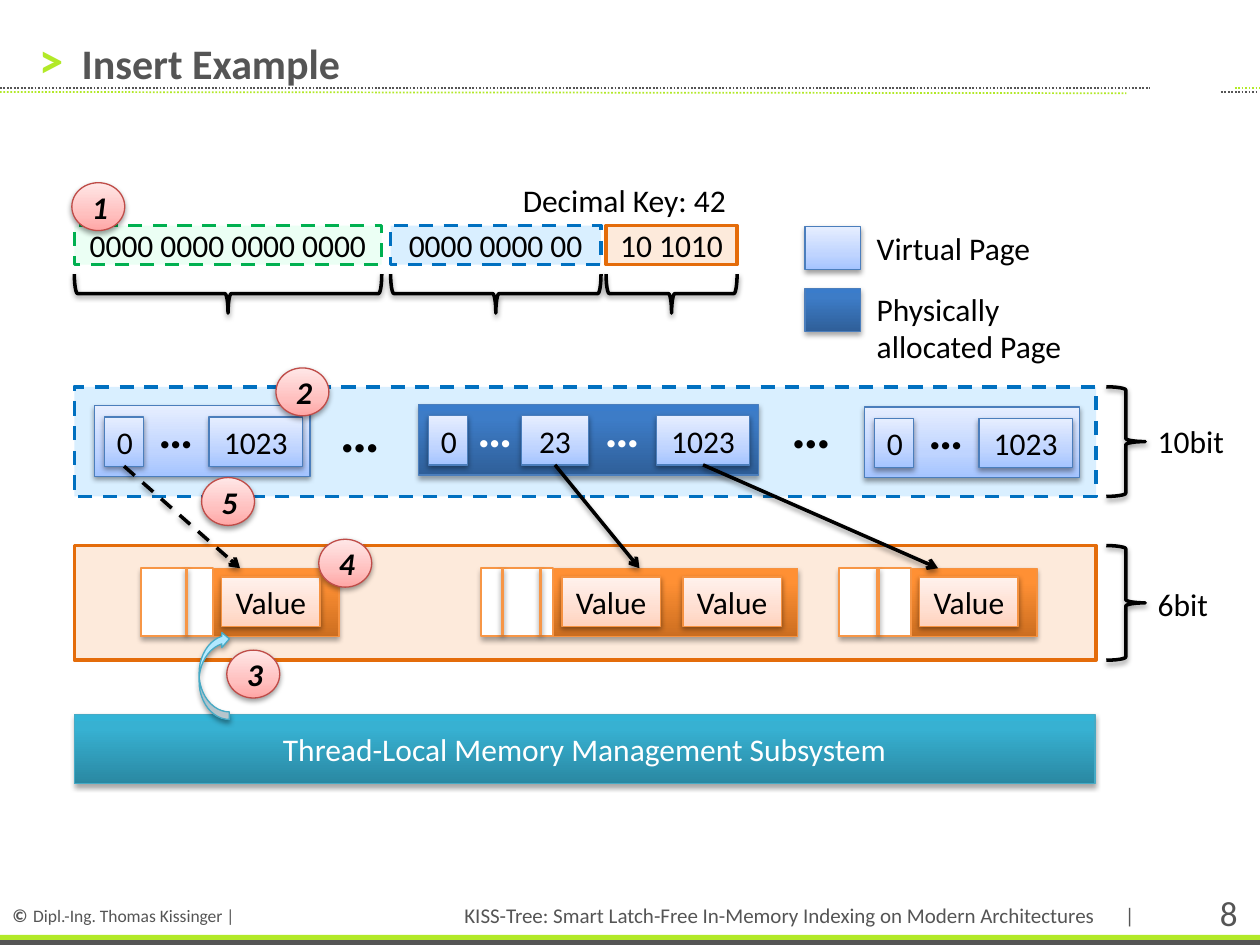
from lxml import etree
from pptx import Presentation, util as u
from pptx.dml.color import RGBColor
from pptx.enum import dml, shapes, text
from pptx.oxml.ns import qn

PX = 9144  # 100 px to the inch
DASH, DOT = dml.MSO_LINE.DASH, dml.MSO_LINE.ROUND_DOT
RECT, OVAL = shapes.MSO_SHAPE.RECTANGLE, shapes.MSO_SHAPE.OVAL
BRACE, CURVED = shapes.MSO_SHAPE.RIGHT_BRACE, shapes.MSO_SHAPE.CURVED_LEFT_ARROW
LEFT, CENTER, RIGHT = text.PP_ALIGN.LEFT, text.PP_ALIGN.CENTER, text.PP_ALIGN.RIGHT
TOP, MIDDLE = text.MSO_ANCHOR.TOP, text.MSO_ANCHOR.MIDDLE
BLACK, WHITE, GREY, LIME, ORANGE = "000000", "FFFFFF", "555555", "B2E928", "F79646"
SOFT, STRONG = (38, 1.6), (35, 1.8)  # shadow opacity in percent, distance in pt

# Looks: gradient stops from bottom to top, line colour, shadow
VIRTUAL = ([(0, "A4C4FF"), (35, "BFD4FF"), (100, "E6EEFF")], "4B7EBC", SOFT)
PHYSICAL = ([(0, "2F5F99"), (80, "3D7CC7"), (100, "3A7CCB")], "4B7EBC", STRONG)
LEAF = ([(0, "CC6E20"), (80, "FF9034"), (100, "FF9136")], "F69240", STRONG)
VALUE = ([(0, "FFD2BD"), (35, "FFDED0"), (100, "FFF2ED")], "F69240", SOFT)
MEMORY = ([(0, "2A88A2"), (80, "37B1D2"), (100, "34B4D6")], "46AAC5", STRONG)
FLOW = ([(0, "A7E6FF"), (35, "C1EDFF"), (100, "E7F8FF")], "46AAC5", SOFT)
STEP = ([(0, "FFA6A5"), (35, "FFC0BF"), (100, "FFE7E7")], "BF4C48", SOFT)

# Content
dotted_rules = [((969, 73), (999, 73), GREY), ((980, 70), (1000, 70), LIME),
                ((0, 70), (913, 70), GREY), ((0, 73), (894, 74), LIME)]
footer_bars = [(746, GREY), (742, LIME)]
levels = [("10bit", 307, 87, "D9EFFF", "0070C0", DASH, 330),
          ("6bit", 433, 91, "FDEADB", "E46C0A", None, 459)]
key_parts = [("0000 0000 0000 0000", 59, 244, "EBFFF4", "00B050", DASH),
             ("0000 0000 00", 310, 167, "D9EFFF", "0070C0", DASH),
             ("10 1010", 481, 104, "FDEADB", "E46C0A", None)]
# page box, look, entries (label, offset, width), offsets of dots, dots colour
directory = [
    ((75, 322, 171, 56), VIRTUAL, [("0", 8, 31), ("1023", 91, 74)], [41], BLACK),
    ((332, 321, 270, 56), PHYSICAL,
     [("0", 8, 31), ("1023", 189, 74), ("23", 82, 53)], [37, 138], WHITE),
    ((686, 323, 171, 56), VIRTUAL, [("0", 8, 31), ("1023", 91, 74)], [41], BLACK)]
page_gaps = [(260, 310), (618, 307)]
# left, width, divider offsets, value offsets
leaves = [(112, 157, [36], [64]), (382, 251, [17, 47], [64, 160]), (666, 157, [31], [64])]
links = [((0, "0"), 0, DASH), ((1, "23"), 1, None), ((1, "1023"), 2, None)]
legend = [("Virtual Page", VIRTUAL, 180, 177), ("Physically allocated Page", PHYSICAL, 229, 225)]
steps = [(57, 145), (219, 292), (180, 516), (253, 428), (160, 379)]

prs = Presentation()
prs.slide_width, prs.slide_height = 1000 * PX, 750 * PX
slide = prs.slides.add_slide(prs.slide_layouts[6])


def rgb(color):
    return RGBColor.from_string(color)


def add_shadow(item, look=None):
    effects = etree.SubElement(item._element.spPr, qn("a:effectLst"))
    if look:
        opacity, distance = look
        outer = etree.SubElement(effects, qn("a:outerShdw"), blurRad=str(u.Pt(3.1)),
                                 dist=str(u.Pt(distance)), dir="5400000", rotWithShape="0")
        color = etree.SubElement(outer, qn("a:srgbClr"), val=BLACK)
        etree.SubElement(color, qn("a:alpha"), val=str(opacity * 1000))


def set_line(line, color, width, dash=None):
    line.color.rgb = rgb(color)
    line.width = u.Pt(width)
    if dash:
        line.dash_style = dash


def write(item, words, size=18, color=BLACK, align=LEFT, anchor=TOP, bold=False, italic=False):
    frame = item.text_frame
    frame.word_wrap = True
    frame.vertical_anchor = anchor
    paragraph = frame.paragraphs[0]
    paragraph.text = words
    paragraph.alignment = align
    font = paragraph.font
    font.name, font.size, font.bold, font.italic = "Calibri", u.Pt(size), bold, italic
    font.color.rgb = rgb(color)


def label(box, words, **style):
    item = slide.shapes.add_textbox(*(v * PX for v in box))
    write(item, words, **style)
    return item


def shape(kind, box, fill=None, line=None, width=2, dash=None, shadow=None, words=None, **style):
    item = slide.shapes.add_shape(kind, *(round(v * PX) for v in box))
    if fill is None:
        item.fill.background()
    elif isinstance(fill, str):
        item.fill.solid()
        item.fill.fore_color.rgb = rgb(fill)
    else:
        item.fill.gradient()
        item.fill.gradient_angle = 90
        stops = item._element.spPr.find(".//" + qn("a:gsLst"))
        for old in list(stops):
            stops.remove(old)
        for place, color in fill:
            stop = etree.SubElement(stops, qn("a:gs"), pos=str(place * 1000))
            etree.SubElement(stop, qn("a:srgbClr"), val=color)
    if line:
        set_line(item.line, line, width, dash)
    else:
        item.line.fill.background()
    add_shadow(item, shadow)
    if words:
        write(item, words, align=CENTER, anchor=MIDDLE, **style)
    return item


def glossy(kind, box, look, words=None, **style):
    fill, line, shadow = look
    return shape(kind, box, fill, line, 0.75, None, shadow, words, **style)


def connect(start, end, color, width, dash=None, shadow=None, arrow=False):
    item = slide.shapes.add_connector(shapes.MSO_CONNECTOR.STRAIGHT,
                                      *(v * PX for v in (*start, *end)))
    set_line(item.line, color, width, dash)
    if arrow:
        etree.SubElement(item._element.spPr.find(qn("a:ln")), qn("a:tailEnd"), type="arrow")
    add_shadow(item, shadow)
    return item


# Header and footer
for top, color in footer_bars:
    shape(RECT, (0, top, 1000, 4), color)
for start, end, color in dotted_rules:
    connect(start, end, color, 1, DOT)
author = label((0, 708, 219, 34), "", color=GREY).text_frame.paragraphs[0]
for words, size, bold in [("©", 10.5, True), (" ", 14, False),
                          ("Dipl.-Ing. Thomas Kissinger |", 10, False)]:
    run = author.add_run()
    run.text, run.font.size, run.font.bold = words, u.Pt(size), bold
label((883, 711, 23, 31), "|", size=12, color=GREY, align=RIGHT)
label((914, 703, 78, 44), "8", size=20, color=GREY, align=RIGHT)
label((297, 711, 582, 30), "KISS-Tree: Smart Latch-Free In-Memory Indexing on Modern Architectures",
      size=12, color=GREY, align=RIGHT, anchor=MIDDLE)
chevron = label((31, 23, 23, 47), ">", size=28, color=LIME, bold=True, anchor=MIDDLE).text_frame
chevron.margin_left = chevron.margin_right = chevron.margin_top = chevron.margin_bottom = 0
label((55, 22, 563, 56), "Insert Example", size=24, color=GREY, bold=True, anchor=MIDDLE)

# Tree levels with their bit widths
for words, top, height, fill, line, dash, label_top in levels:
    shape(RECT, (59, top, 811, height), fill, line, dash=dash)
    shape(BRACE, (878, top, 31, height), line=BLACK, shadow=SOFT)
    label((909, label_top, 94, 40), words)

# Binary key, each part with a brace below
label((340, 139, 246, 40), "Decimal Key: 42", align=RIGHT)
for words, left, width, fill, line, dash in key_parts:
    shape(RECT, (left, 179, width, 31), fill, line, dash=dash, words=words)
    brace = shape(BRACE, (left + width / 2 - 15.5, 233 - width / 2, 31, width),
                  line=BLACK, shadow=SOFT)
    brace.rotation = 90

# Directory pages
entry_boxes = {}
for number, (box, look, entries, dots, dots_color) in enumerate(directory):
    left, top = box[:2]
    glossy(RECT, box, look)
    for words, offset, width in entries:
        entry_boxes[number, words] = glossy(RECT, (left + offset, top + 9, width, 39),
                                            VIRTUAL, words)
    for offset in dots:
        label((left + offset, top - 10, 63, 57), "…", size=28, color=dots_color, bold=True)
for left, top in page_gaps:
    label((left, top, 63, 64), "…", size=32, bold=True)

# Memory subsystem and leaf nodes
glossy(RECT, (59, 567, 810, 55), MEMORY, "Thread-Local Memory Management Subsystem", color=WHITE)
leaf_boxes = []
for left, width, dividers, values in leaves:
    leaf_boxes.append(glossy(RECT, (left, 451, width, 54), LEAF))
    shape(RECT, (left, 451, 57, 54), WHITE, ORANGE, 1)
    for offset in dividers:
        connect((left + offset, 451), (left + offset, 504), ORANGE, 2, shadow=SOFT)
    for offset in values:
        glossy(RECT, (left + offset, 458, 78, 39), VALUE, "Value")
glossy(CURVED, (158, 501, 24, 70), FLOW).rotation = 180

# Links from directory entries to leaves
for entry, leaf, dash in links:
    link = connect((0, 0), (0, 0), BLACK, 2, dash, SOFT, arrow=True)
    link.begin_connect(entry_boxes[entry], 2)
    link.end_connect(leaf_boxes[leaf], 0)

# Legend
for words, look, top, label_top in legend:
    glossy(RECT, (639, top, 44, 34), look)
    label((686, label_top, 205, 40), words)

# Step numbers
for number, (left, top) in enumerate(steps, 1):
    glossy(OVAL, (left, top, 42, 38), STEP, str(number), bold=True, italic=True)

prs.save("out.pptx")
